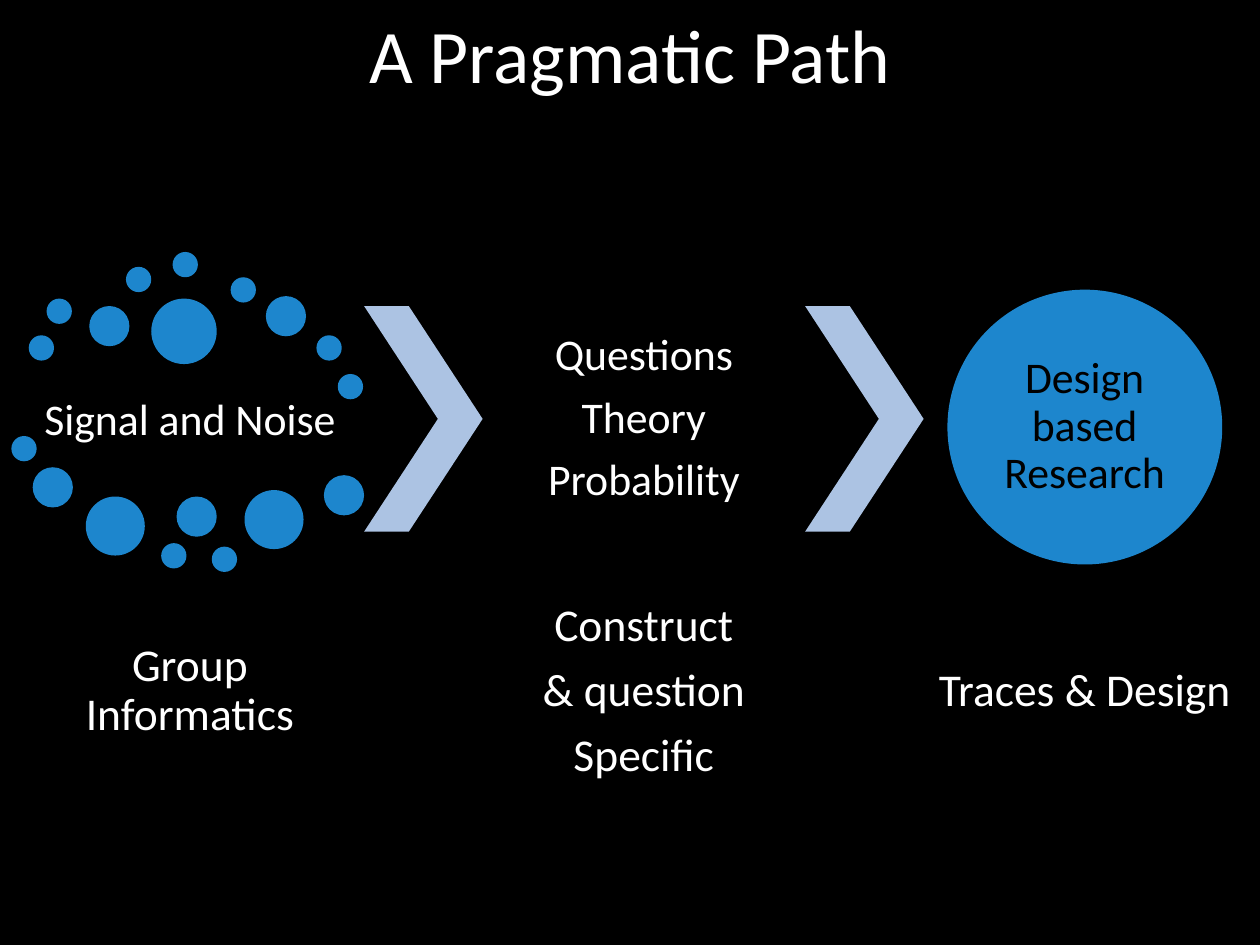
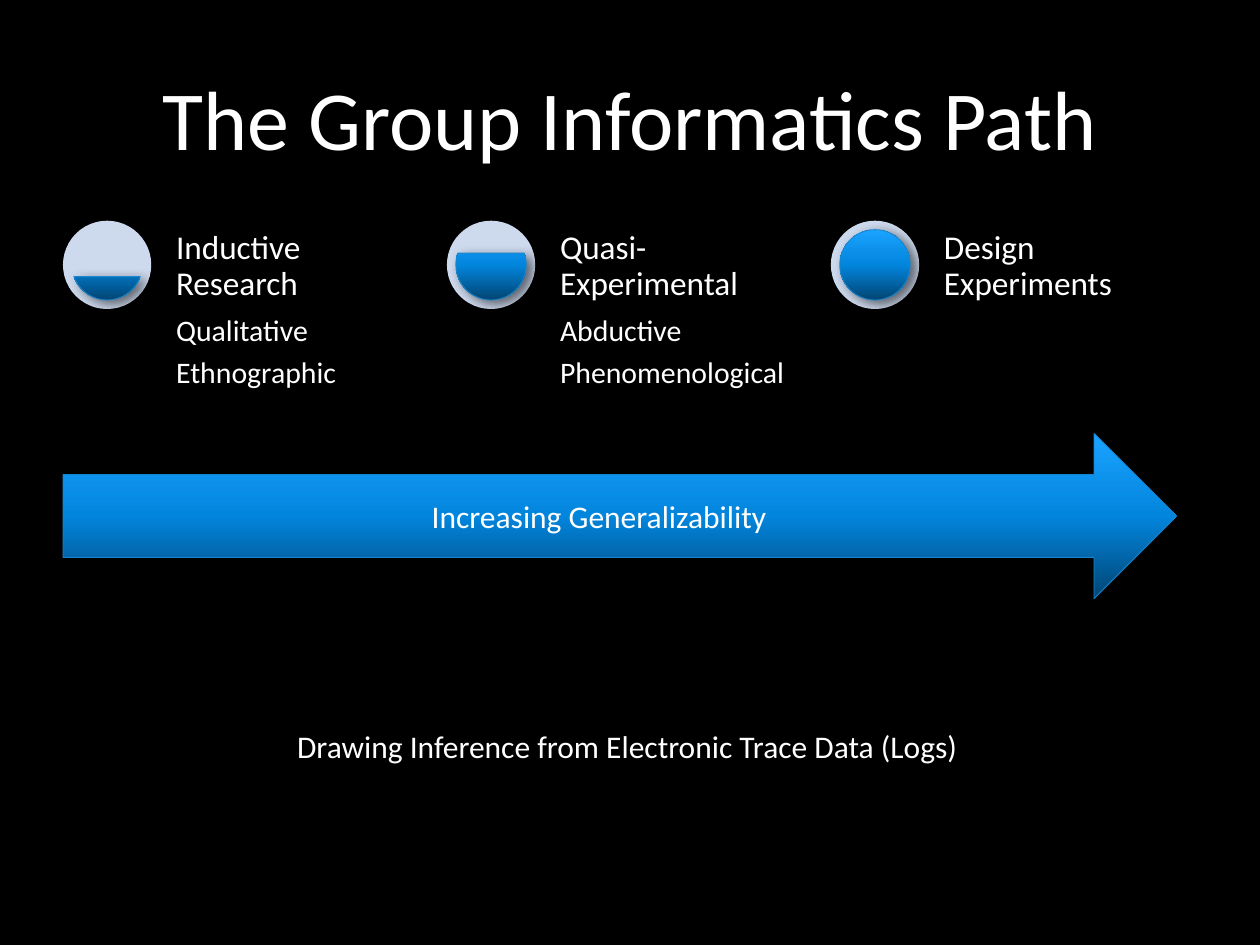
"""Build the two slides on the path of group informatics."""
from copy import deepcopy
from dataclasses import dataclass
from typing import Any

from lxml.etree import SubElement
from pptx import Presentation
from pptx.dml.color import RGBColor
from pptx.enum.shapes import MSO_SHAPE
from pptx.enum.text import MSO_ANCHOR, PP_ALIGN
from pptx.oxml.ns import qn
from pptx.util import Cm, Pt

BLACK, WHITE, BLUE = "000000", "FFFFFF", "1D86CD"
PALE, CHEVRON, ARROW_LINE = "CDD9ED", "ACC3E3", "1884CD"
GRADIENT = ((0, "014573"), (0.5, "0285DD"), (1, "1AA3FF"))
SHADOW = dict(blurRad=Pt(7), dist=Pt(4), dir=35 * 60000, rotWithShape=0)


def rgb(color):
    return RGBColor.from_string(color)


def apply(target, values):
    for name, value in values.items():
        setattr(target, name, value)


@dataclass
class Deck:
    prs: Any
    s: Any = None
    font: str = "Calibri"

    def slide(self, title, box, size):
        self.s = self.prs.slides.add_slide(self.prs.slide_layouts[6])
        self.s.background.fill.solid()
        self.s.background.fill.fore_color.rgb = rgb(BLACK)
        self.text([title], box, size, align=PP_ALIGN.CENTER)

    def fill_text(self, tf, lines, size, color=WHITE, align=PP_ALIGN.LEFT,
                  anchor=MSO_ANCHOR.MIDDLE, wrap=True, inset=None, body=False):
        apply(tf, dict(word_wrap=wrap, vertical_anchor=anchor))
        if inset is not None:
            sides = ("left", "top", "right", "bottom")
            apply(tf, {f"margin_{side}": Cm(inset) for side in sides})
        for i, line in enumerate(lines):
            p = tf.add_paragraph() if i else tf.paragraphs[0]
            p.alignment = align
            if body:
                apply(p, dict(line_spacing=0.9, space_after=Pt(0.35 * size)))
            r = p.add_run()
            r.text = line
            apply(r.font, dict(name=self.font, size=Pt(size)))
            r.font.color.rgb = rgb(color)

    def text(self, lines, box, size, **style):
        sp = self.s.shapes.add_textbox(*map(Cm, box))
        self.fill_text(sp.text_frame, lines, size, **style)

    def body(self, lines, box, size, inset, **style):
        self.text(lines, box, size, inset=inset, body=True, **style)

    def shape(self, kind, box, fill=None, line=None, shadow=True, adj=()):
        sp = self.s.shapes.add_shape(kind, *map(Cm, box))
        for i, value in enumerate(adj):
            sp.adjustments[i] = value
        if fill:
            sp.fill.solid()
            sp.fill.fore_color.rgb = rgb(fill)
        else:
            self.gradient(sp)
        if line:
            sp.line.color.rgb = rgb(line)
            sp.line.width = Pt(0.5)
        else:
            sp.line.fill.background()
        sp.shadow.inherit = False
        if shadow:
            self.cast_shadow(sp)
        return sp

    def circle(self, x, y, size, fill=BLUE, shadow=False):
        return self.shape(MSO_SHAPE.OVAL, (x, y, size, size), fill, shadow=shadow)

    def gradient(self, sp):
        sp.fill.gradient()
        sp.fill.gradient_angle = 90
        stops = sp._element.spPr.find(qn("a:gradFill")).find(qn("a:gsLst"))
        stops.append(deepcopy(stops[0]))
        for stop, (position, color) in zip(sp.fill.gradient_stops, GRADIENT):
            stop.position = position
            stop.color.rgb = rgb(color)

    def cast_shadow(self, sp):
        effects = sp._element.spPr.find(qn("a:effectLst"))
        outer = SubElement(effects, qn("a:outerShdw"),
                           {k: str(int(v)) for k, v in SHADOW.items()})
        color = SubElement(outer, qn("a:srgbClr"), val=BLACK)
        SubElement(color, qn("a:alpha"), val="55000")


def pragmatic_path(deck):
    dots = {
        0.51: ((0.58, 6.76), (0.94, 6.02), (2.54, 5.38), (3.48, 5.08),
               (4.65, 5.59), (6.38, 6.76), (6.81, 7.54), (0.23, 8.79),
               (3.25, 10.95), (4.27, 11.02)),
        0.81: ((1.8, 6.17), (5.36, 5.97), (0.66, 9.42), (3.56, 10.01),
               (6.53, 9.58)),
        1.19: ((1.73, 10.01), (4.93, 9.88)),
        1.32: ((3.05, 6.02),),
    }
    captions = (
        (0.58, ["Group Informatics"]),
        (9.73, ["Construct", "& question", "Specific"]),
        (18.62, ["Traces & Design"]),
    )
    center = dict(align=PP_ALIGN.CENTER)
    deck.slide("A Pragmatic Path", (1.9, 0.05, 21.6, 2.06), 43.2)
    for size, places in dots.items():
        for x, y in places:
            deck.circle(x, y, size)
    for x in (7.34, 16.23):
        deck.shape(MSO_SHAPE.CHEVRON, (x, 6.17, 2.39, 4.55), CHEVRON, adj=[0.623])
    deck.circle(19.1, 5.84, 5.54)
    deck.body(["Signal and Noise"], (0.58, 7.42, 6.5, 2.13), 25, 0.08, **center)
    deck.body(["Questions", "Theory", "Probability"],
              (9.73, 6.17, 6.5, 4.55), 25, 0.08, **center)
    deck.body(["Design based Research"], (19.91, 6.65, 3.91, 3.91), 25, 0,
              color=BLACK, **center)
    for x, lines in captions:
        deck.body(lines, (x, 11.94, 6.5, 4.01), 26, 0.1, **center)


def informatics_path(deck):
    stages = (
        ("Inductive Research", ["Qualitative", "Ethnographic"], (11.683, 96.317)),
        ("Quasi-Experimental", ["Abductive", "Phenomenological"], (204.317, 119.683)),
        ("Design Experiments", [], (162, 162)),
    )
    left, top, pitch, ring, gap = 1.27, 4.45, 7.74, 1.78, 0.18
    level = ring - 2 * gap
    deck.slide("The Group Informatics Path", (1.27, 0.76, 22.86, 3.18), 48)
    for i, (name, methods, adj) in enumerate(stages):
        x = left + i * pitch
        deck.circle(x, top, ring, PALE, shadow=True)
        deck.shape(MSO_SHAPE.CHORD, (x + gap, top + gap, level, level),
                   line=BLUE, adj=adj)
        deck.body([name], (x + 2.15, top, 5.23, ring), 19, 0.13,
                  anchor=MSO_ANCHOR.BOTTOM)
        if methods:
            deck.body(methods, (x + 2.15, top + ring, 5.23, 7.44), 17, 0.13,
                      anchor=MSO_ANCHOR.TOP)
    arrow = deck.shape(MSO_SHAPE.RIGHT_ARROW, (left, 8.74, 22.45, 3.33),
                       line=ARROW_LINE)
    deck.fill_text(arrow.text_frame, ["Increasing Generalizability"], 18,
                   align=PP_ALIGN.CENTER)
    deck.text(["Drawing Inference from Electronic Trace Data (Logs)"],
              (5.74, 14.53, 14.1, 1.02), 18, anchor=MSO_ANCHOR.TOP, wrap=False)


prs = Presentation()
apply(prs, dict(slide_width=Cm(25.4), slide_height=Cm(19.05)))
deck = Deck(prs)
pragmatic_path(deck)
informatics_path(deck)
prs.save("out.pptx")
